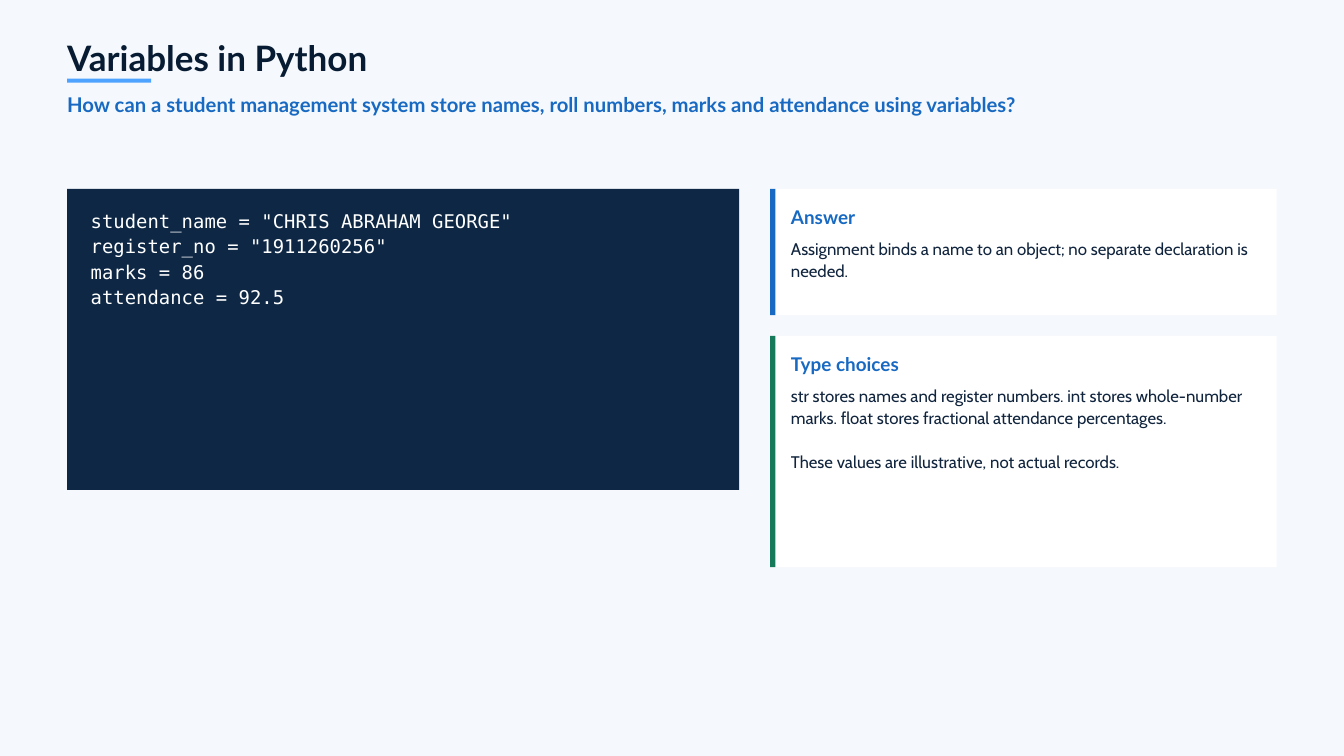
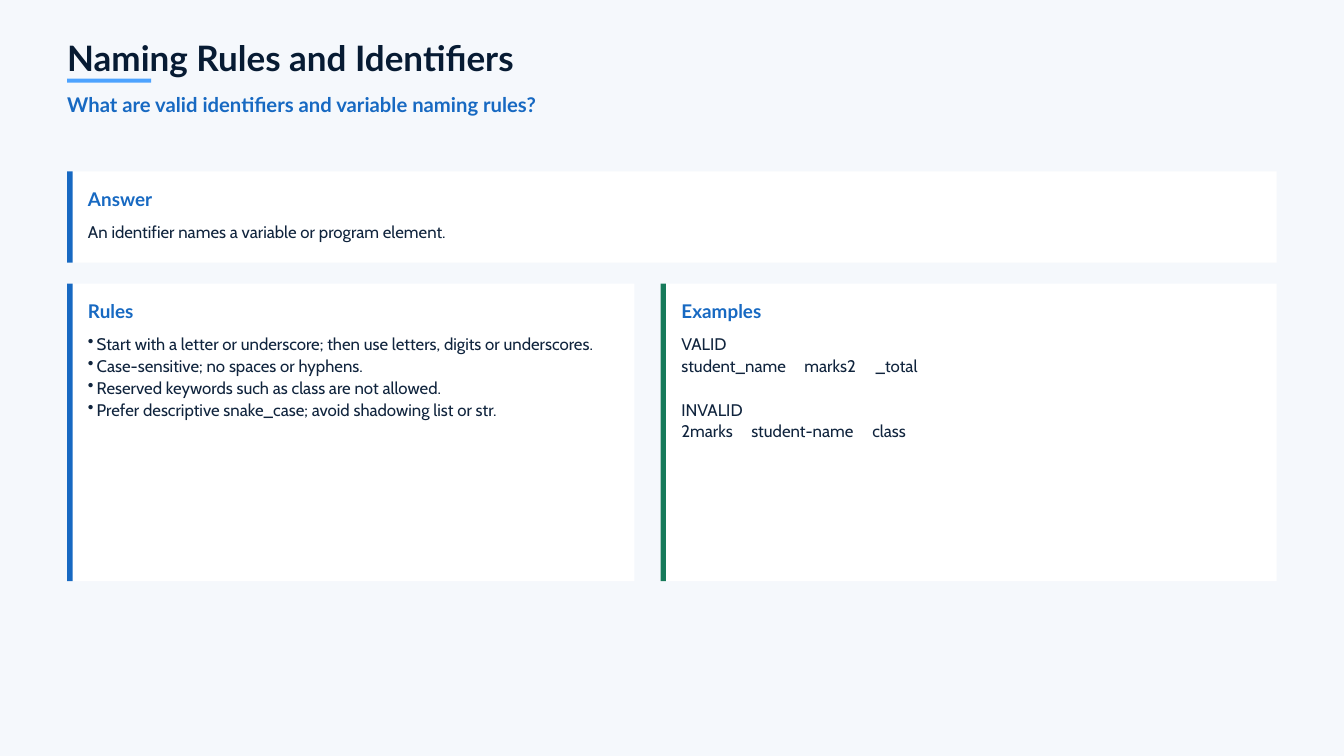
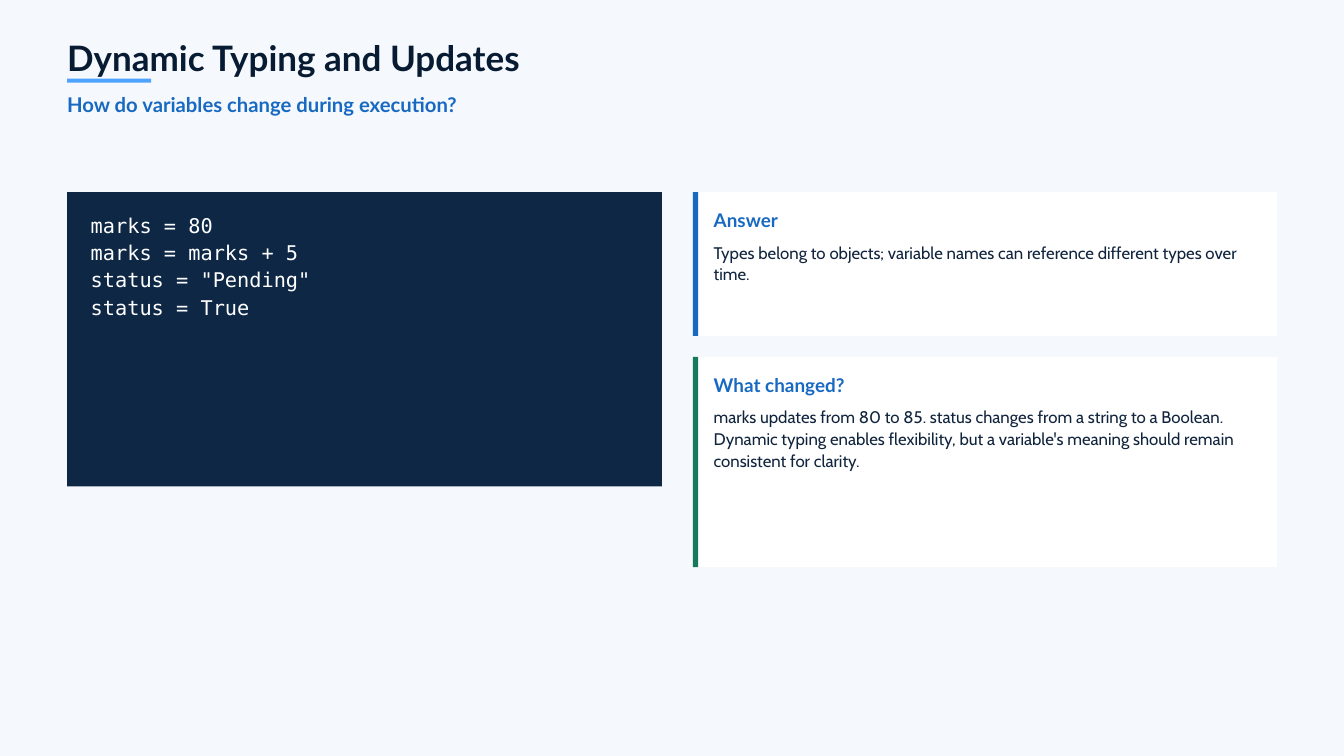
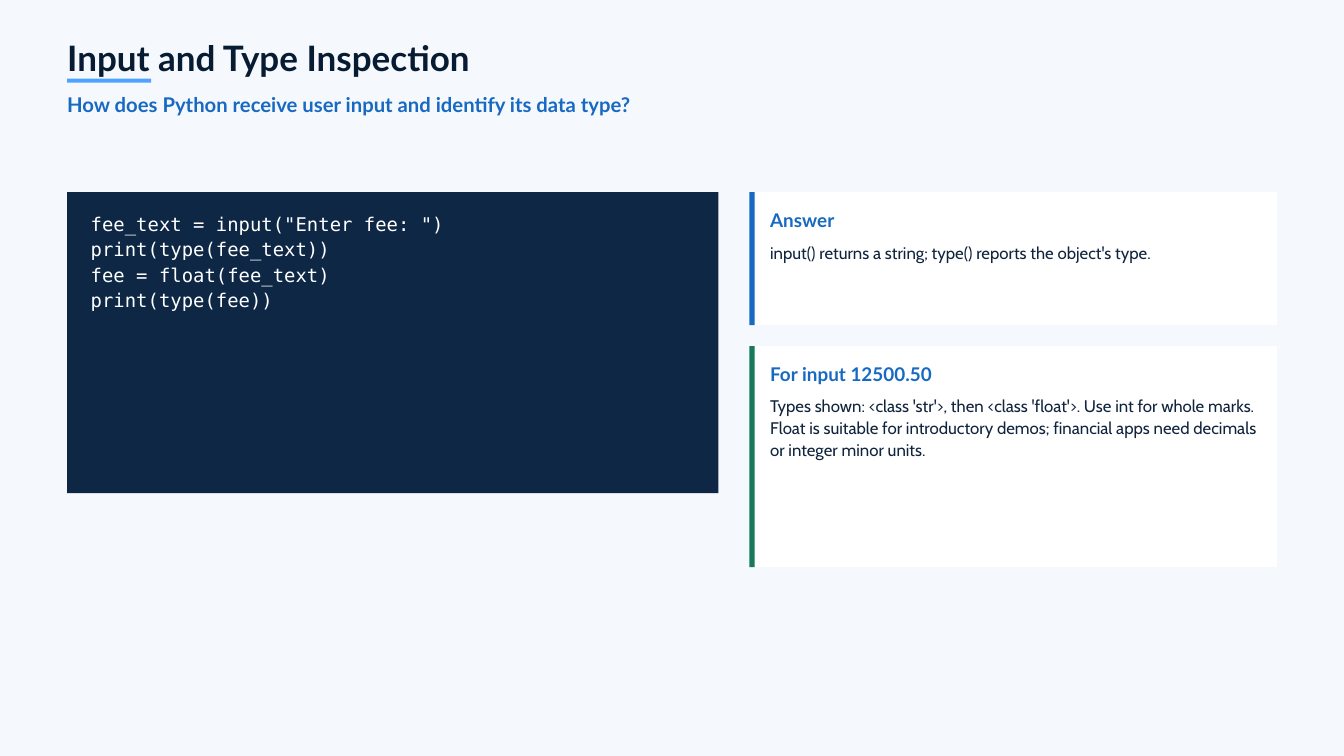
"""Build four slides that introduce Python variables."""
from dataclasses import dataclass, replace

import lxml.etree
import pptx
import pptx.dml.color
import pptx.enum.shapes
import pptx.enum.text
import pptx.oxml.ns
import pptx.util

Inches = pptx.util.Inches
Pt = pptx.util.Pt
RGBColor = pptx.dml.color.RGBColor

BACKGROUND = RGBColor(0xF5, 0xF8, 0xFC)
TITLE_NAVY = RGBColor(0x07, 0x1B, 0x33)
CODE_NAVY = RGBColor(0x0D, 0x27, 0x45)
BODY_INK = RGBColor(0x10, 0x24, 0x3D)
BLUE = RGBColor(0x17, 0x69, 0xC2)
LIGHT_BLUE = RGBColor(0x4D, 0xA3, 0xFF)
GREEN = RGBColor(0x16, 0x7A, 0x5A)
WHITE = RGBColor(0xFF, 0xFF, 0xFF)

MARGIN = 1
CONTENT_WIDTH = 18
RIGHT_EDGE = MARGIN + CONTENT_WIDTH
CARD_GAP = 0.31
COLUMN_GAP = 0.46
CARDS_BOTTOM = 8.44
BULLET_INDENT = 0.13


@dataclass
class Box:
    """A rectangle in inches."""
    left: float
    top: float
    width: float
    height: float


@dataclass
class Style:
    """The look of all paragraphs in one text box."""
    font: str
    size: float
    color: RGBColor
    spacing: float
    bold: bool = False


@dataclass
class Line:
    """One paragraph with its optional bullet, tab stops and gap above."""
    text: str
    bullet: bool = False
    tabs: tuple = ()
    gap: float = 0


@dataclass
class Card:
    """The content of one card and the number of lines its body takes."""
    heading: str
    lines: list
    line_count: int


TITLE = Style("Lato", 37.5, TITLE_NAVY, 40.5, True)
QUESTION = Style("Lato", 21.75, BLUE, 25.7, True)
HEADING = Style("Lato", 20.25, BLUE, 23.9, True)
BODY = Style("Cabin", 18, BODY_INK, 23.4)
CODE = Style("DejaVu Sans Mono", 20.25, WHITE, 27.34)
LARGE_CODE = replace(CODE, size=21.75, spacing=29.36)


def add_rectangle(shapes, box, color):
    """Add a plain filled rectangle."""
    rectangle = shapes.add_shape(
        pptx.enum.shapes.MSO_SHAPE.RECTANGLE,
        Inches(box.left), Inches(box.top), Inches(box.width), Inches(box.height))
    rectangle.shadow.inherit = False
    rectangle.fill.solid()
    rectangle.fill.fore_color.rgb = color
    rectangle.line.fill.background()


def add_bullet(paragraph):
    """Give a paragraph a hanging round bullet."""
    properties = paragraph._p.get_or_add_pPr()
    properties.set("marL", str(Inches(BULLET_INDENT)))
    properties.set("indent", str(-Inches(BULLET_INDENT)))
    lxml.etree.SubElement(properties, pptx.oxml.ns.qn("a:buChar"), char="•")


def add_tab_stops(paragraph, positions):
    """Give a paragraph left tab stops at positions in inches."""
    properties = paragraph._p.get_or_add_pPr()
    tab_list = lxml.etree.SubElement(properties, pptx.oxml.ns.qn("a:tabLst"))
    for position in positions:
        lxml.etree.SubElement(tab_list, pptx.oxml.ns.qn("a:tab"),
                              pos=str(Inches(position)), algn="l")


def add_text(shapes, box, lines, style):
    """Add a text box without insets, one paragraph a line."""
    shape = shapes.add_textbox(
        Inches(box.left), Inches(box.top), Inches(box.width), Inches(box.height))
    frame = shape.text_frame
    frame.word_wrap = True
    frame.auto_size = pptx.enum.text.MSO_AUTO_SIZE.SHAPE_TO_FIT_TEXT
    frame.margin_left = frame.margin_top = frame.margin_right = frame.margin_bottom = 0
    for index, line in enumerate(lines):
        paragraph = frame.add_paragraph() if index else frame.paragraphs[0]
        paragraph.add_run().text = line.text
        if line.bullet:
            add_bullet(paragraph)
        if line.tabs:
            add_tab_stops(paragraph, line.tabs)
        if line.gap:
            paragraph.space_before = Pt(line.gap)
        paragraph.line_spacing = Pt(style.spacing)
        paragraph.font.name = style.font
        paragraph.font.size = Pt(style.size)
        paragraph.font.bold = style.bold
        paragraph.font.color.rgb = style.color


def add_header(slide, box, title, question):
    """Add the underlined title and the question below it."""
    add_rectangle(slide.shapes, Box(box.left, box.top + 0.56, 1.25, 0.06), LIGHT_BLUE)
    add_text(slide.shapes, replace(box, height=0.57), [Line(title)], TITLE)
    add_text(slide.shapes, Box(box.left, box.top + 0.77, box.width, 0.36),
             [Line(question)], QUESTION)


def add_card(slide, box, card, accent):
    """Add a white card with an accent edge, a heading and a body."""
    shapes = slide.shapes.add_group_shape().shapes
    add_rectangle(shapes, box, WHITE)
    add_rectangle(shapes, replace(box, width=0.08), accent)
    heading_box = Box(box.left + 0.31, box.top + 0.25, box.width - 0.57, 0.33)
    body_box = replace(heading_box, top=box.top + 0.72, height=0.32 * card.line_count)
    add_text(shapes, heading_box, [Line(card.heading)], HEADING)
    add_text(shapes, body_box, card.lines, BODY)


def add_code_panel(slide, box, code, style):
    """Add a dark panel with lines of code."""
    shapes = slide.shapes.add_group_shape().shapes
    add_rectangle(shapes, box, CODE_NAVY)
    lines = [Line(text) for text in code.splitlines()]
    text_box = Box(box.left + 0.35, box.top + 0.26, box.width - 0.7,
                   len(lines) * style.spacing / 72)
    add_text(shapes, text_box, lines, style)


def add_slide(presentation, title, question):
    """Add a blank slide with the shared background and header."""
    slide = presentation.slides.add_slide(presentation.slide_layouts[6])
    slide.background.fill.solid()
    slide.background.fill.fore_color.rgb = BACKGROUND
    add_header(slide, Box(MARGIN, 0.61, CONTENT_WIDTH, 1.13), title, question)
    return slide


def add_code_slide(presentation, title, question, panel, code, style,
                   answer_height, answer, detail):
    """Add a slide with code on the left and two stacked cards on the right."""
    slide = add_slide(presentation, title, question)
    add_code_panel(slide, panel, code, style)
    left = panel.left + panel.width + COLUMN_GAP
    answer_box = Box(left, panel.top, RIGHT_EDGE - left, answer_height)
    add_card(slide, answer_box, answer, BLUE)
    top = panel.top + answer_height + CARD_GAP
    add_card(slide, replace(answer_box, top=top, height=CARDS_BOTTOM - top), detail, GREEN)


def add_rules_slide(presentation):
    """Add the slide with a wide answer above the rules and the examples."""
    slide = add_slide(presentation, "Naming Rules and Identifiers",
                      "What are valid identifiers and variable naming rules?")
    answer = Card("Answer", [Line("An identifier names a variable or program element.")], 1)
    rules = Card("Rules", [Line(text, bullet=True) for text in (
        "Start with a letter or underscore; then use letters, digits or underscores.",
        "Case-sensitive; no spaces or hyphens.",
        "Reserved keywords such as class are not allowed.",
        "Prefer descriptive snake_case; avoid shadowing list or str.")], 4)
    examples = Card("Examples", [
        Line("VALID"),
        Line("student_name\tmarks2\t_total", tabs=(1.83, 2.89)),
        Line("INVALID", gap=BODY.spacing),
        Line("2marks\tstudent-name\tclass", tabs=(1.04, 2.84))], 5)
    answer_box = Box(MARGIN, 2.55, CONTENT_WIDTH, 1.36)
    rules_box = Box(MARGIN, answer_box.top + answer_box.height + CARD_GAP, 8.44, 4.43)
    examples_left = 9.83
    add_card(slide, answer_box, answer, BLUE)
    add_card(slide, rules_box, rules, BLUE)
    add_card(slide, replace(rules_box, left=examples_left,
                            width=RIGHT_EDGE - examples_left), examples, GREEN)


def main():
    """Build and save the presentation."""
    presentation = pptx.Presentation()
    presentation.slide_width = Inches(20)
    presentation.slide_height = Inches(11.25)

    add_code_slide(
        presentation, "Variables in Python",
        "How can a student management system store names, roll numbers, "
        "marks and attendance using variables?",
        Box(MARGIN, 2.81, 10, 4.48),
        'student_name = "CHRIS ABRAHAM GEORGE"\n'
        'register_no = "1911260256"\n'
        'marks = 86\n'
        'attendance = 92.5',
        CODE, 1.88,
        Card("Answer", [Line("Assignment binds a name to an object; "
                             "no separate declaration is needed.")], 2),
        Card("Type choices", [
            Line("str stores names and register numbers. int stores whole-number marks. "
                 "float stores fractional attendance percentages."),
            Line("These values are illustrative, not actual records.",
                 gap=BODY.spacing)], 4))

    add_rules_slide(presentation)

    add_code_slide(
        presentation, "Dynamic Typing and Updates",
        "How do variables change during execution?",
        Box(MARGIN, 2.86, 8.85, 4.38),
        'marks = 80\n'
        'marks = marks + 5\n'
        'status = "Pending"\n'
        'status = True',
        LARGE_CODE, 2.14,
        Card("Answer", [Line("Types belong to objects; variable names can reference "
                             "different types over time.")], 2),
        Card("What changed?", [
            Line("marks updates from 80 to 85. status changes from a string to a Boolean. "
                 "Dynamic typing enables flexibility, but a variable's meaning should "
                 "remain consistent for clarity.")], 3))

    add_code_slide(
        presentation, "Input and Type Inspection",
        "How does Python receive user input and identify its data type?",
        Box(MARGIN, 2.86, 9.69, 4.48),
        'fee_text = input("Enter fee: ")\n'
        'print(type(fee_text))\n'
        'fee = float(fee_text)\n'
        'print(type(fee))',
        CODE, 1.98,
        Card("Answer", [Line("input() returns a string; "
                             "type() reports the object's type.")], 1),
        Card("For input 12500.50", [
            Line("Types shown: <class 'str'>, then <class 'float'>. Use int for whole marks. "
                 "Float is suitable for introductory demos; financial apps need decimals "
                 "or integer minor units.")], 3))

    presentation.save("out.pptx")


if __name__ == "__main__":
    main()
